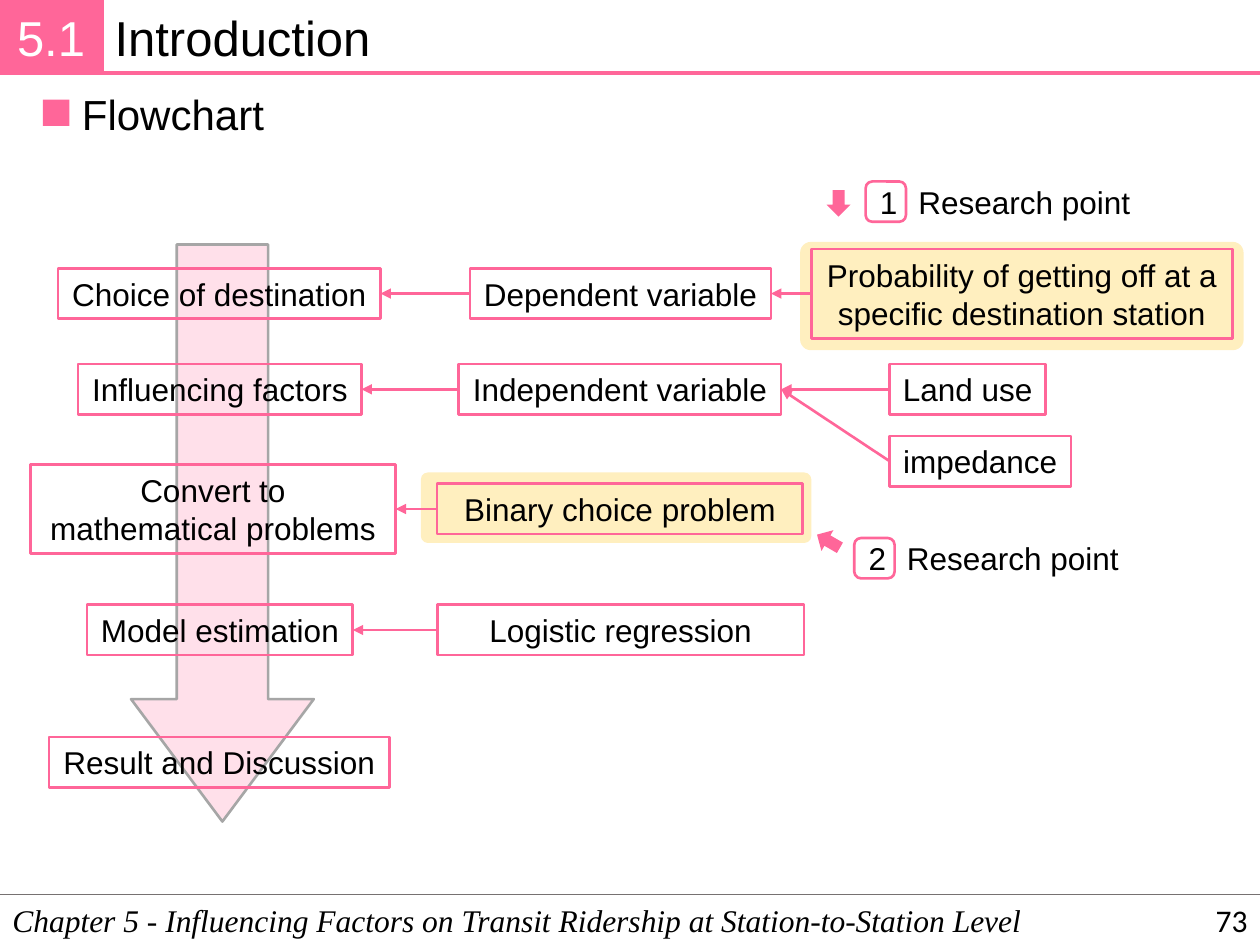
from dataclasses import dataclass

from lxml.etree import SubElement
from pptx import Presentation
from pptx.dml.color import RGBColor
from pptx.enum.shapes import MSO_CONNECTOR, MSO_SHAPE
from pptx.enum.text import MSO_ANCHOR, MSO_AUTO_SIZE, PP_ALIGN
from pptx.oxml.ns import qn
from pptx.util import Inches, Pt


@dataclass(frozen=True)
class Theme:
    pink: str = "FF6699"
    amber: str = "FFC000"
    arrow_edge: str = "A6A6A6"
    footer_rule: str = "767171"
    ink: str = "000000"
    white: str = "FFFFFF"
    sans: str = "Arial"
    serif: str = "Times New Roman"
    number_font: str = "Calibri"
    heading: int = 28
    topic: int = 24
    label: int = 18
    thin: float = 1
    outline: float = 1.5
    thick: float = 2.25


THEME = Theme()

# Content
SECTION, TITLE, TOPIC = "5.1", "Introduction", "Flowchart"
CHAPTER = "Chapter 5 - Influencing Factors on Transit Ridership at Station-to-Station Level"
PAGE = "73"

# Boxes: text, left, vertical centre, width, number of lines
BOXES = {
    "choice": ("Choice of destination", 0.46, 2.33, 2.56, 1),
    "dependent": ("Dependent variable", 3.73, 2.33, 2.39, 1),
    "probability": ("Probability of getting off at a specific destination station",
                    6.44, 2.33, 3.34, 2),
    "factors": ("Influencing factors", 0.62, 3.09, 2.25, 1),
    "independent": ("Independent variable", 3.64, 3.09, 2.56, 1),
    "land": ("Land use", 7.06, 3.09, 1.24, 1),
    "impedance": ("impedance", 7.06, 3.66, 1.44, 1),
    "convert": ("Convert to mathematical problems", 0.24, 4.04, 2.9, 2),
    "binary": ("Binary choice problem", 3.47, 4.04, 2.9, 1),
    "model": ("Model estimation", 0.69, 5, 2.11, 1),
    "logistic": ("Logistic regression", 3.47, 5, 2.91, 1),
    "result": ("Result and Discussion", 0.39, 6.05, 2.7, 1),
}
BOX_HEIGHT = {1: 0.4, 2: 0.71}
FLOWS = [
    ("dependent", "choice"), ("independent", "factors"), ("binary", "convert"),
    ("logistic", "model"), ("probability", "dependent"),
    ("land", "independent"), ("impedance", "independent"),
]
HIGHLIGHTS = [(6.35, 1.92, 3.52, 0.86), (3.34, 3.75, 3.1, 0.56)]
# Research points: number, badge left and top, pointer left and top, pointer angle
RESEARCH_POINTS = [
    ("1", 6.87, 1.44, 6.55, 1.52, 90),
    ("2", 6.78, 4.27, 6.47, 4.2, 210),
]
BADGE = 0.32


def rgb(color):
    return RGBColor.from_string(color)


def write(holder, text, size=THEME.label, font=THEME.sans, color=THEME.ink,
          align=PP_ALIGN.LEFT, anchor=MSO_ANCHOR.TOP, italic=False, wrap=True):
    frame = holder.text_frame
    frame.auto_size = MSO_AUTO_SIZE.NONE
    frame.word_wrap = wrap
    frame.vertical_anchor = anchor
    paragraph = frame.paragraphs[0]
    paragraph.alignment = align
    run = paragraph.add_run()
    run.text = text
    run.font.size, run.font.name = Pt(size), font
    run.font.italic = italic
    run.font.color.rgb = rgb(color)
    return paragraph


def place(holder, left, top, width, height):
    holder.left, holder.top = Inches(left), Inches(top)
    holder.width, holder.height = Inches(width), Inches(height)


def add_label(slide, area, text, **style):
    write(slide.shapes.add_textbox(*map(Inches, area)), text, **style)


def add_block(slide, preset, area, fill=None, opacity=100, line=None, weight=THEME.outline):
    block = slide.shapes.add_shape(preset, *map(Inches, area))
    block.shadow.inherit = False
    if fill:
        block.fill.solid()
        block.fill.fore_color.rgb = rgb(fill)
        if opacity < 100:
            color = block.fill._xPr.find(qn("a:solidFill"))[0]
            SubElement(color, qn("a:alpha")).set("val", str(opacity * 1000))
    else:
        block.fill.background()
    if line:
        block.line.color.rgb = rgb(line)
        block.line.width = Pt(weight)
    else:
        block.line.fill.background()
    return block


def add_line(slide, start, end, color, weight, arrow=False):
    line = slide.shapes.add_connector(MSO_CONNECTOR.STRAIGHT, *map(Inches, start + end))
    line.line.color.rgb = rgb(color)
    line.line.width = Pt(weight)
    if arrow:
        SubElement(line.line._get_or_add_ln(), qn("a:tailEnd")).set("type", "triangle")
    SubElement(line._element.spPr, qn("a:effectLst"))
    return line


def add_header(slide):
    title = slide.shapes.title
    place(title, 0.81, 0.01, 9.19, 0.57)
    write(title, TITLE, THEME.heading)

    section = add_block(slide, MSO_SHAPE.RECTANGLE, (0, 0, 0.81, 0.58), THEME.pink,
                        line=THEME.pink, weight=THEME.thick)
    write(section, SECTION, THEME.heading, color=THEME.white,
          align=PP_ALIGN.CENTER, anchor=MSO_ANCHOR.MIDDLE)
    frame = section.text_frame
    frame.margin_left = frame.margin_right = Inches(0.06)
    frame.margin_top = frame.margin_bottom = Inches(0.06)
    add_line(slide, (0.81, 0.58), (10, 0.58), THEME.pink, THEME.thick)

    # Topic with its square marker
    add_block(slide, MSO_SHAPE.RECTANGLE, (0.34, 0.79, 0.21, 0.21), THEME.pink)
    topic = slide.placeholders[1]
    place(topic, 0.55, 0.65, 1.66, 0.5)
    paragraph = write(topic, TOPIC, THEME.topic, wrap=False)
    properties = paragraph._p.get_or_add_pPr()
    properties.set("marL", "0")
    properties.set("indent", "0")
    SubElement(properties, qn("a:buNone"))
    paragraph.space_before = Pt(0)


def add_footer(slide):
    add_line(slide, (0, 7.1), (10, 7.1), THEME.footer_rule, THEME.thin)
    add_label(slide, (0, 7.1, 10, 0.4), CHAPTER, font=THEME.serif, italic=True)
    add_label(slide, (7.75, 7.1, 2.25, 0.4), PAGE, font=THEME.number_font,
              align=PP_ALIGN.RIGHT, anchor=MSO_ANCHOR.MIDDLE)


def add_flowchart(slide):
    # Main direction and highlighted areas, behind the boxes
    direction = add_block(slide, MSO_SHAPE.DOWN_ARROW, (1.04, 1.94, 1.45, 4.58),
                          THEME.pink, 20, THEME.arrow_edge)
    direction.adjustments[0], direction.adjustments[1] = 0.5, 0.67
    for area in HIGHLIGHTS:
        highlight = add_block(slide, MSO_SHAPE.ROUNDED_RECTANGLE, area, THEME.amber, 25)
        highlight.adjustments[0] = 0.1

    # Boxes
    boxes = {}
    for key, (text, left, middle, width, lines) in BOXES.items():
        height = BOX_HEIGHT[lines]
        boxes[key] = add_block(slide, MSO_SHAPE.RECTANGLE,
                               (left, middle - height / 2, width, height), line=THEME.pink)
        write(boxes[key], text, align=PP_ALIGN.CENTER, anchor=MSO_ANCHOR.MIDDLE)

    # Arrows from a left side to the right side of the next box
    for source, target in FLOWS:
        flow = add_line(slide, (0, 0), (1, 1), THEME.pink, THEME.outline, arrow=True)
        flow.begin_connect(boxes[source], 1)
        flow.end_connect(boxes[target], 3)


def add_research_points(slide):
    for number, left, top, pointer_left, pointer_top, angle in RESEARCH_POINTS:
        add_label(slide, (left + BADGE, top - 0.04, 1.9, 0.4), "Research point", wrap=False)
        badge = add_block(slide, MSO_SHAPE.ROUNDED_RECTANGLE, (left, top, BADGE, BADGE),
                          line=THEME.pink)
        write(badge, number, align=PP_ALIGN.CENTER, anchor=MSO_ANCHOR.MIDDLE)
        pointer = add_block(slide, MSO_SHAPE.RIGHT_ARROW,
                            (pointer_left, pointer_top, 0.21, 0.19), THEME.pink)
        pointer.rotation = angle


def main():
    deck = Presentation()
    deck.slide_width, deck.slide_height = Inches(10), Inches(7.5)
    slide = deck.slides.add_slide(deck.slide_layouts[1])
    add_header(slide)
    add_footer(slide)
    add_flowchart(slide)
    add_research_points(slide)
    deck.save("out.pptx")


if __name__ == "__main__":
    main()
